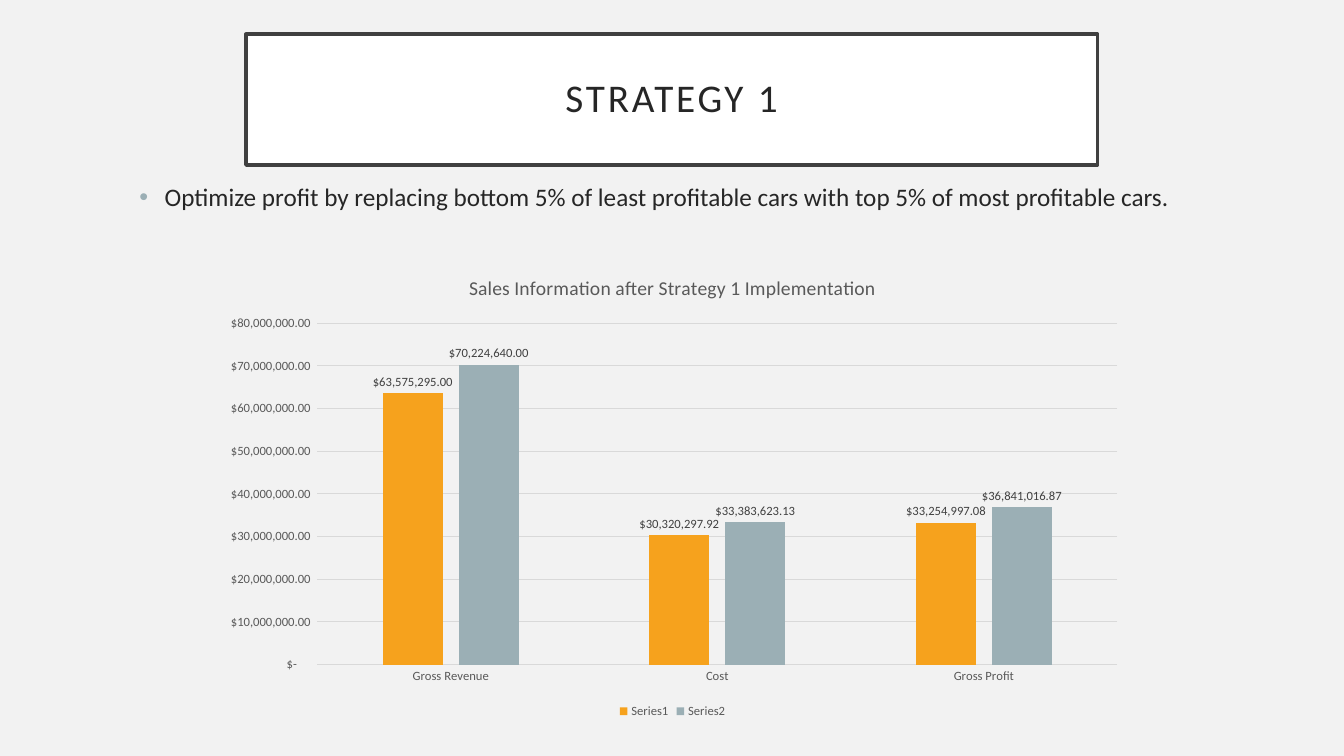
from lxml import etree
from pptx import Presentation
from pptx import util as u
from pptx.chart import data
from pptx.dml import color
from pptx.enum import chart as ec, text
from pptx.oxml import ns

ACCOUNTING = '_("$"* #,##0.00_);_("$"* \\(#,##0.00\\);_("$"* "-"??_);_(@_)'


def rgb(code):
    return color.RGBColor.from_string(code)


def assign(target, values):
    for name, value in values.items():
        setattr(target, name, value)


class Deck:
    font = "Calibri"
    ink, muted, rule = "262626", "595959", "D9D9D9"
    accents = ("F6A21D", "9BAFB5")

    def __init__(self, width, height):
        self.presentation = Presentation()
        assign(self.presentation, {"slide_width": u.Cm(width), "slide_height": u.Cm(height)})

    def add_slide(self, background):
        self.slide = self.presentation.slides.add_slide(self.presentation.slide_layouts[1])
        self.paint(self.slide.background.fill, background)

    def paint(self, fill, code):
        fill.solid()
        fill.fore_color.rgb = rgb(code)

    def outline(self, line, code, width):
        self.paint(line.fill, code)
        line.width = u.Pt(width)

    def style(self, font, size, code):
        assign(font, {"name": self.font, "size": u.Pt(size), "bold": False})
        font.color.rgb = rgb(code)

    def place(self, holder, box):
        assign(holder, dict(zip(("left", "top", "width", "height"), map(u.Cm, box))))

    def set_words(self, holder, words, size, anchor, inset, spacing):
        frame = holder.text_frame
        frame.text = words
        assign(frame, {"word_wrap": True, "auto_size": text.MSO_AUTO_SIZE.NONE,
                       "vertical_anchor": anchor})
        assign(frame, {f"margin_{side}": u.Cm(gap) for side, gap in inset.items()})
        paragraph = frame.paragraphs[0]
        assign(paragraph, {"alignment": text.PP_ALIGN.CENTER, **spacing})
        self.style(paragraph.runs[0].font, size, self.ink)
        return paragraph

    def title(self, words, box):
        heading = self.slide.shapes.title
        self.place(heading, box)
        self.paint(heading.fill, "FFFFFF")
        self.outline(heading.line, "404040", 2.5)
        inset = dict.fromkeys(("left", "right", "top", "bottom"), 0.5)
        paragraph = self.set_words(heading, words, 28, text.MSO_ANCHOR.MIDDLE, inset,
                                   {"line_spacing": 0.9})
        paragraph.runs[0].font._element.set("spc", "200")

    def bullet(self, words, box):
        strategy = self.slide.placeholders[1]
        self.place(strategy, box)
        inset = {"left": 0.25, "right": 0.25, "top": 0.13, "bottom": 0.13}
        paragraph = self.set_words(strategy, words, 18, text.MSO_ANCHOR.TOP, inset,
                                   {"space_before": u.Pt(10)})
        properties = paragraph._p.get_or_add_pPr()
        indent = u.Cm(0.64)
        properties.set("marL", str(indent))
        properties.set("indent", str(-indent))
        tint = etree.SubElement(properties, ns.qn("a:buClr"))
        etree.SubElement(tint, ns.qn("a:srgbClr"), val=self.accents[1])
        etree.SubElement(properties, ns.qn("a:buFont"), typeface="Arial")
        etree.SubElement(properties, ns.qn("a:buChar"), char="•")

    def columns(self, heading, categories, series, box):
        figures = data.CategoryChartData(number_format=ACCOUNTING)
        figures.categories = categories
        for name, values in series.items():
            figures.add_series(name, values)
        chart = self.slide.shapes.add_chart(
            ec.XL_CHART_TYPE.COLUMN_CLUSTERED, *map(u.Cm, box), figures).chart
        self.style(chart.font, 10, "000000")
        chart.chart_title.text_frame.text = heading
        self.style(chart.chart_title.text_frame.paragraphs[0].runs[0].font, 14, self.muted)

        chart.has_legend = True
        assign(chart.legend, {"position": ec.XL_LEGEND_POSITION.BOTTOM,
                              "include_in_layout": False})
        self.style(chart.legend.font, 9, self.muted)

        amounts = chart.value_axis
        for axis in (chart.category_axis, amounts):
            assign(axis, {"major_tick_mark": ec.XL_TICK_MARK.NONE,
                          "minor_tick_mark": ec.XL_TICK_MARK.NONE})
            self.style(axis.tick_labels.font, 9, self.muted)
        self.outline(chart.category_axis.format.line, self.rule, 0.75)
        amounts.format.line.fill.background()
        assign(amounts, {"minimum_scale": 0, "maximum_scale": 80_000_000,
                         "major_unit": 10_000_000})
        assign(amounts.tick_labels, {"number_format": ACCOUNTING,
                                     "number_format_is_linked": False})
        self.outline(amounts.major_gridlines.format.line, self.rule, 0.75)

        plot = chart.plots[0]
        assign(plot, {"gap_width": 219, "overlap": -27, "vary_by_categories": False})
        for bars, accent in zip(plot.series, self.accents):
            self.paint(bars.format.fill, accent)
            labels = bars.data_labels
            assign(labels, {"show_value": True, "number_format": ACCOUNTING,
                            "number_format_is_linked": False,
                            "position": ec.XL_LABEL_POSITION.OUTSIDE_END})
            self.style(labels.font, 9, "404040")


deck = Deck(33.87, 19.05)
deck.add_slide("F2F2F2")
deck.title("STRATEGY 1", (6.2, 0.86, 21.46, 3.3))
deck.bullet("Optimize profit by replacing bottom 5% of least profitable cars "
            "with top 5% of most profitable cars.", (2.24, 4.45, 28.5, 2.41))
deck.columns("Sales Information after Strategy 1 Implementation",
             ("Gross Revenue", "Cost", "Gross Profit"),
             {"Series1": (63575295, 30320297.92, 33254997.08),
              "Series2": (70224640, 33383623.13, 36841016.87)},
             (5.28, 6.45, 23.34, 11.76))
deck.presentation.save("out.pptx")
